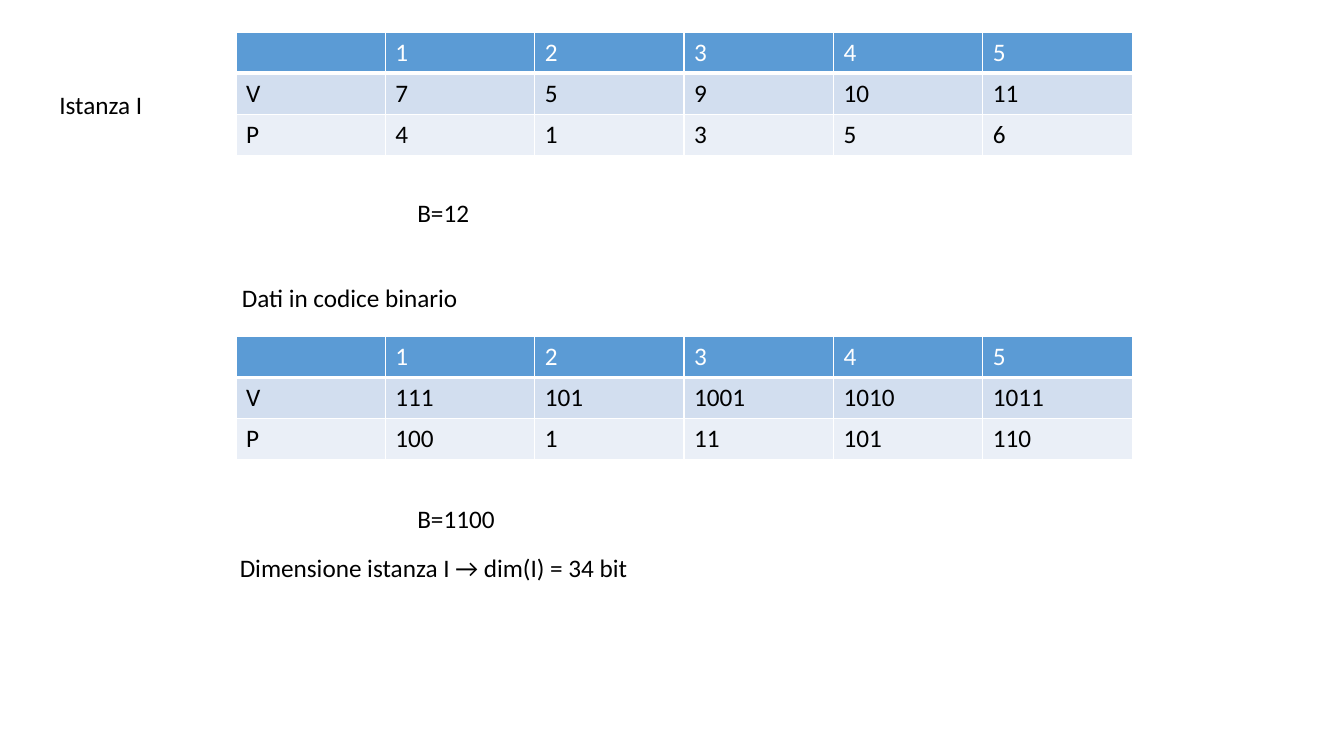
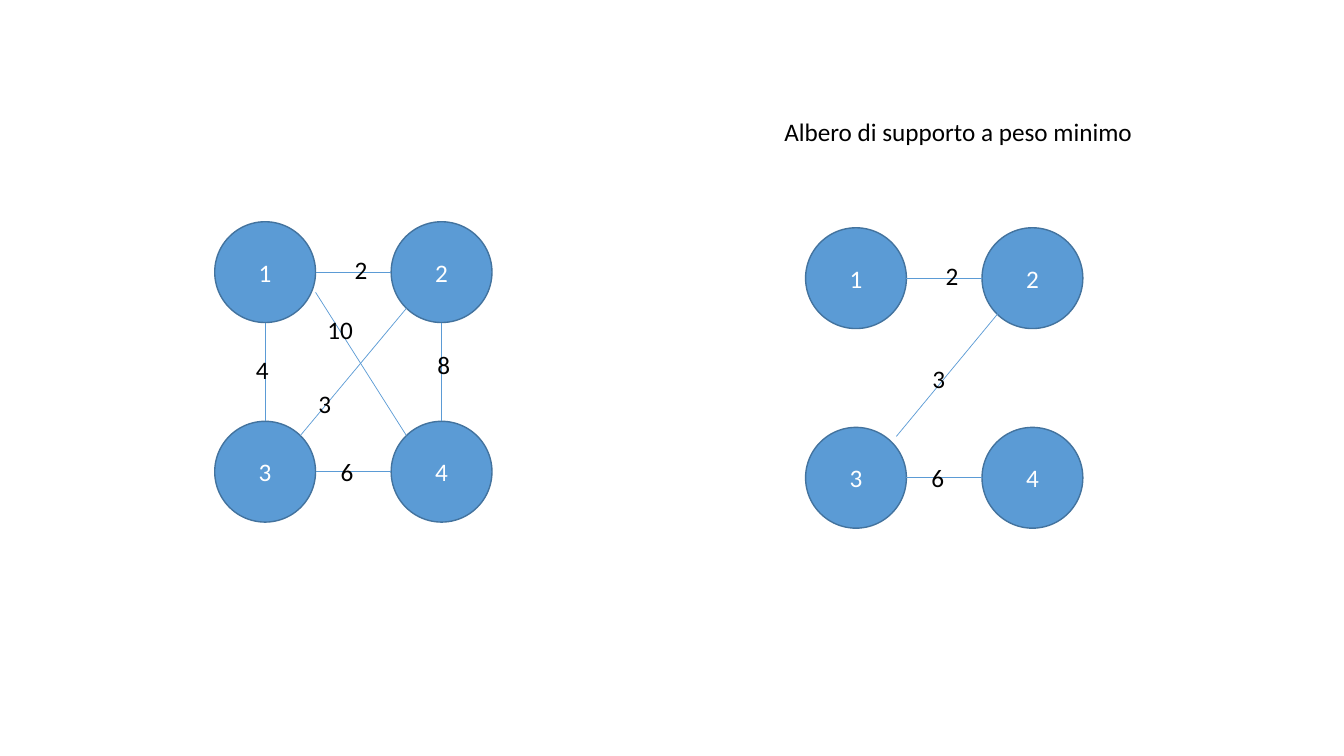
from pptx import Presentation
from pptx.dml.color import RGBColor
from pptx.enum.shapes import MSO_CONNECTOR, MSO_SHAPE
from pptx.enum.text import MSO_ANCHOR, MSO_AUTO_SIZE, PP_ALIGN
from pptx.oxml.ns import qn
from pptx.util import Inches, Pt
from lxml.etree import SubElement

BLUE = RGBColor(0x5B, 0x9B, 0xD5)
NAVY = RGBColor(0x43, 0x73, 0x9E)
PALE = RGBColor(0xD2, 0xDE, 0xEF)
MIST = RGBColor(0xEA, 0xEF, 0xF7)
WHITE = RGBColor(0xFF, 0xFF, 0xFF)
BLACK = RGBColor(0x00, 0x00, 0x00)

STEP_X, STEP_Y = 1.75, 1.98
MID, FAR = 0.5, 1
TOP = ("2", (FAR, MID), (STEP_X, MID), (1.29, 0.27))
BASE = ("6", (FAR, STEP_Y + MID), (STEP_X, STEP_Y + MID), (1.15, 2.28))
FULL = [
    TOP,
    ("10", (FAR, 0.7), (1.9, 2.12), (1.02, 0.87)),
    ("4", (MID, FAR), (MID, STEP_Y), (0.31, 1.27)),
    BASE,
    ("8", (STEP_X + MID, FAR), (STEP_X + MID, STEP_Y), (2.11, 1.22)),
    ("3", (1.9, 0.86), (0.85, 2.12), (0.93, 1.6)),
]
TREE = [TOP, BASE, ("3", (1.95, 0.8), (0.9, 2.07), (1.16, 1.3))]


class Deck:
    font, size = "Calibri", Pt(18)

    def __init__(self):
        self.prs = Presentation()
        self.prs.slide_width = Inches(13.33)
        self.prs.slide_height = Inches(7.5)

    def start(self):
        self.slide = self.prs.slides.add_slide(self.prs.slide_layouts[6])

    def style(self, frame, color):
        for para in frame.paragraphs:
            for run in para.runs:
                run.font.name = self.font
                run.font.size = self.size
                run.font.bold = False
                run.font.color.rgb = color

    def text(self, words, x, y, width):
        box = self.slide.shapes.add_textbox(Inches(x), Inches(y), Inches(width), Inches(0.4))
        frame = box.text_frame
        frame.word_wrap = False
        frame.auto_size = MSO_AUTO_SIZE.SHAPE_TO_FIT_TEXT
        frame.text = words
        self.style(frame, BLACK)

    def border(self, cell, top, base):
        props = cell._tc.get_or_add_tcPr()
        for side, width in zip("LRTB", (1, 1, top, base)):
            line = SubElement(props, qn(f"a:ln{side}"), w=str(Pt(width)))
            fill = SubElement(line, qn("a:solidFill"))
            SubElement(fill, qn("a:srgbClr"), val=str(WHITE))

    def table(self, rows, x, y):
        shape = self.slide.shapes.add_table(
            len(rows), len(rows[0]), Inches(x), Inches(y), Inches(8.89), Inches(1.22))
        grid = shape.table
        grid.horz_banding = False
        looks = [(BLUE, WHITE, 1, 3), (PALE, BLACK, 3, 1), (MIST, BLACK, 1, 1)]
        for r, (row, look) in enumerate(zip(rows, looks)):
            back, ink, top, base = look
            for c, words in enumerate(row):
                cell = grid.cell(r, c)
                self.border(cell, top, base)
                cell.fill.solid()
                cell.fill.fore_color.rgb = back
                if words:
                    cell.text_frame.text = words
                    self.style(cell.text_frame, ink)

    def node(self, words, x, y):
        disc = self.slide.shapes.add_shape(
            MSO_SHAPE.OVAL, Inches(x), Inches(y), Inches(1), Inches(1))
        disc.shadow.inherit = False
        disc.fill.solid()
        disc.fill.fore_color.rgb = BLUE
        disc.line.color.rgb = NAVY
        disc.line.width = Pt(1)
        frame = disc.text_frame
        frame.text = words
        frame.vertical_anchor = MSO_ANCHOR.MIDDLE
        frame.paragraphs[0].alignment = PP_ALIGN.CENTER
        self.style(frame, WHITE)

    def edge(self, x1, y1, x2, y2):
        line = self.slide.shapes.add_connector(
            MSO_CONNECTOR.STRAIGHT, Inches(x1), Inches(y1), Inches(x2), Inches(y2))
        line.line.color.rgb = BLUE
        line.line.width = Pt(0.5)
        SubElement(line._element.spPr, qn("a:effectLst"))

    def graph(self, x, y, edges):
        for i in range(4):
            row, col = divmod(i, 2)
            self.node(str(i + 1), x + col * STEP_X, y + row * STEP_Y)
        for _, (x1, y1), (x2, y2), _ in edges:
            self.edge(x + x1, y + y1, x + x2, y + y2)
        for cost, _, _, (dx, dy) in edges:
            self.text(cost, x + dx, y + dy, 0.2 + 0.13 * len(cost))


def main():
    deck = Deck()
    head = ["", "1", "2", "3", "4", "5"]

    deck.start()
    deck.text("Istanza I", 0.49, 0.84, 1.03)
    deck.table([head, ["V", "7", "5", "9", "10", "11"],
                ["P", "4", "1", "3", "5", "6"]], 2.34, 0.32)
    deck.text("B=12", 4.04, 1.91, 0.72)
    deck.text("Dati in codice binario", 2.3, 2.75, 2.37)
    deck.table([head, ["V", "111", "101", "1001", "1010", "1011"],
                ["P", "100", "1", "11", "101", "110"]], 2.34, 3.34)
    deck.text("B=1100", 4.04, 4.94, 0.98)
    deck.text("Dimensione istanza I → dim(I) = 34 bit", 2.28, 5.43, 4.1)

    deck.start()
    deck.graph(2.13, 2.2, FULL)
    deck.text("Albero di supporto a peso minimo", 7.68, 1.1, 3.69)
    deck.graph(7.99, 2.26, TREE)

    deck.prs.save("out.pptx")


if __name__ == "__main__":
    main()
